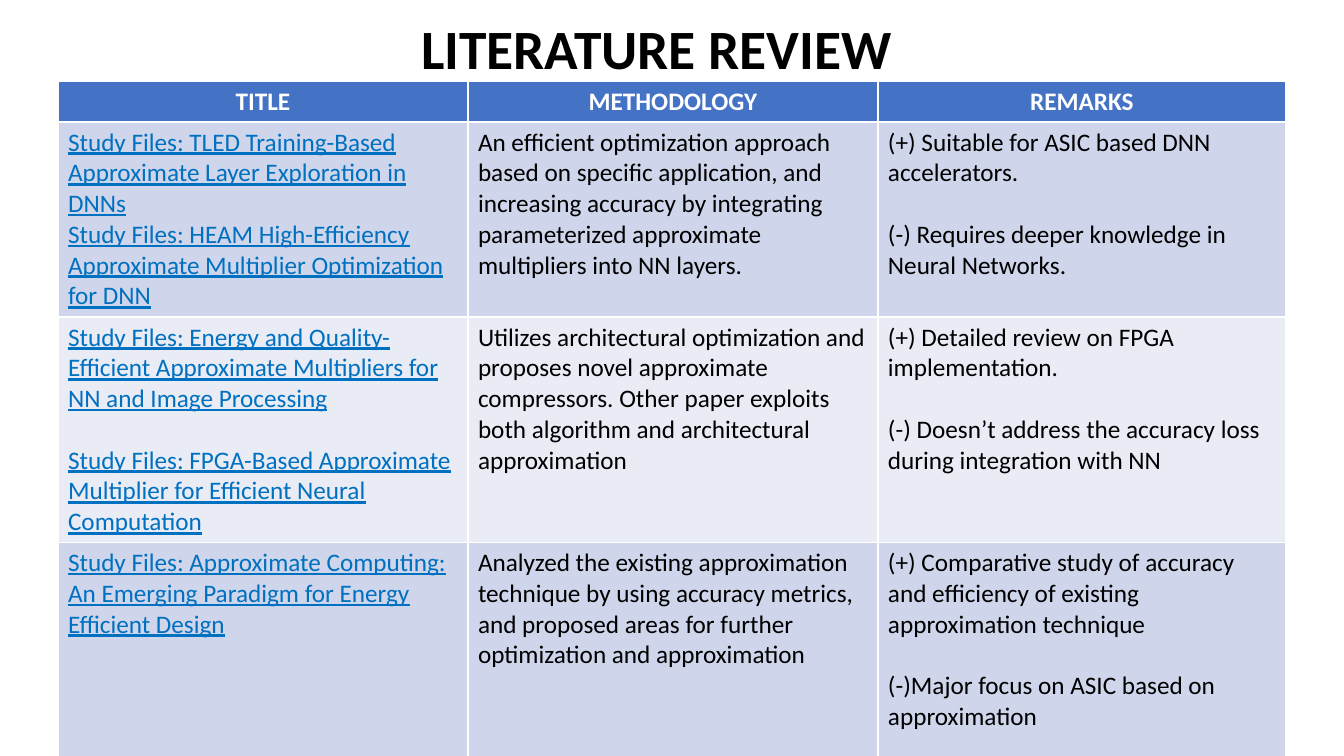
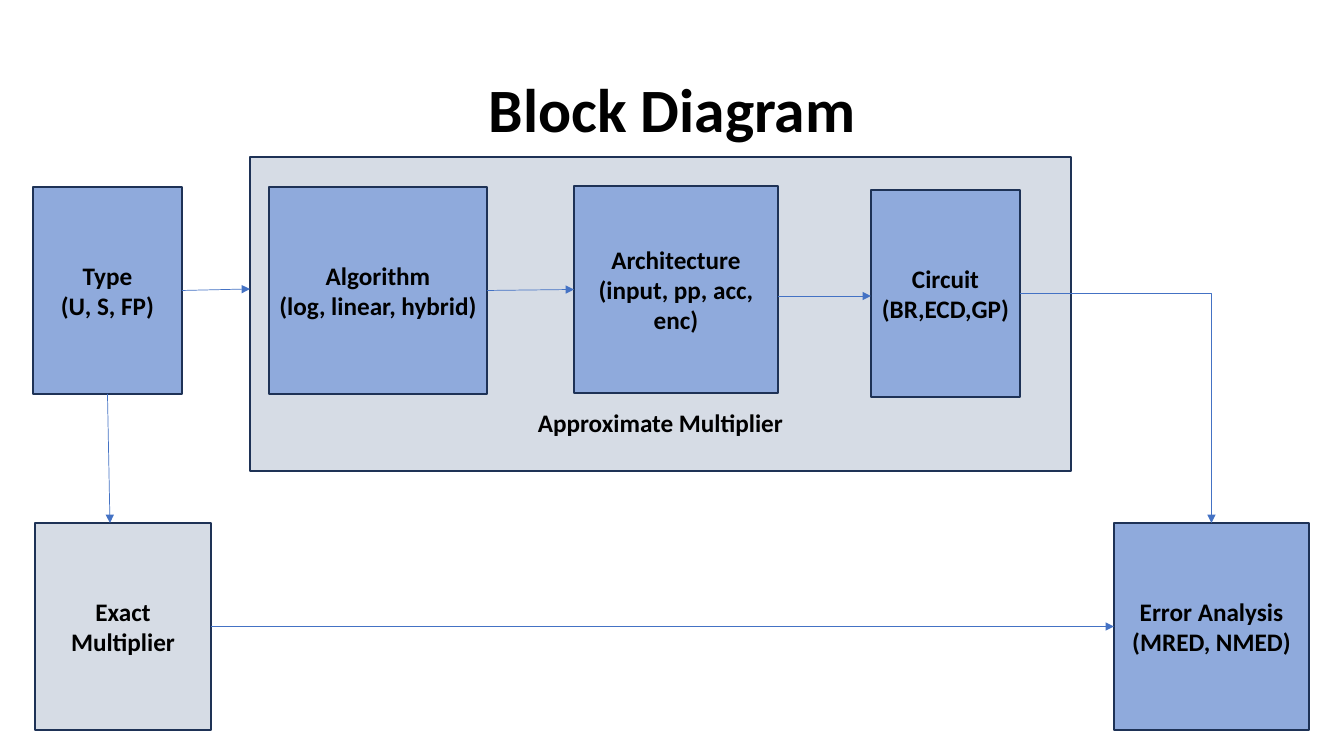
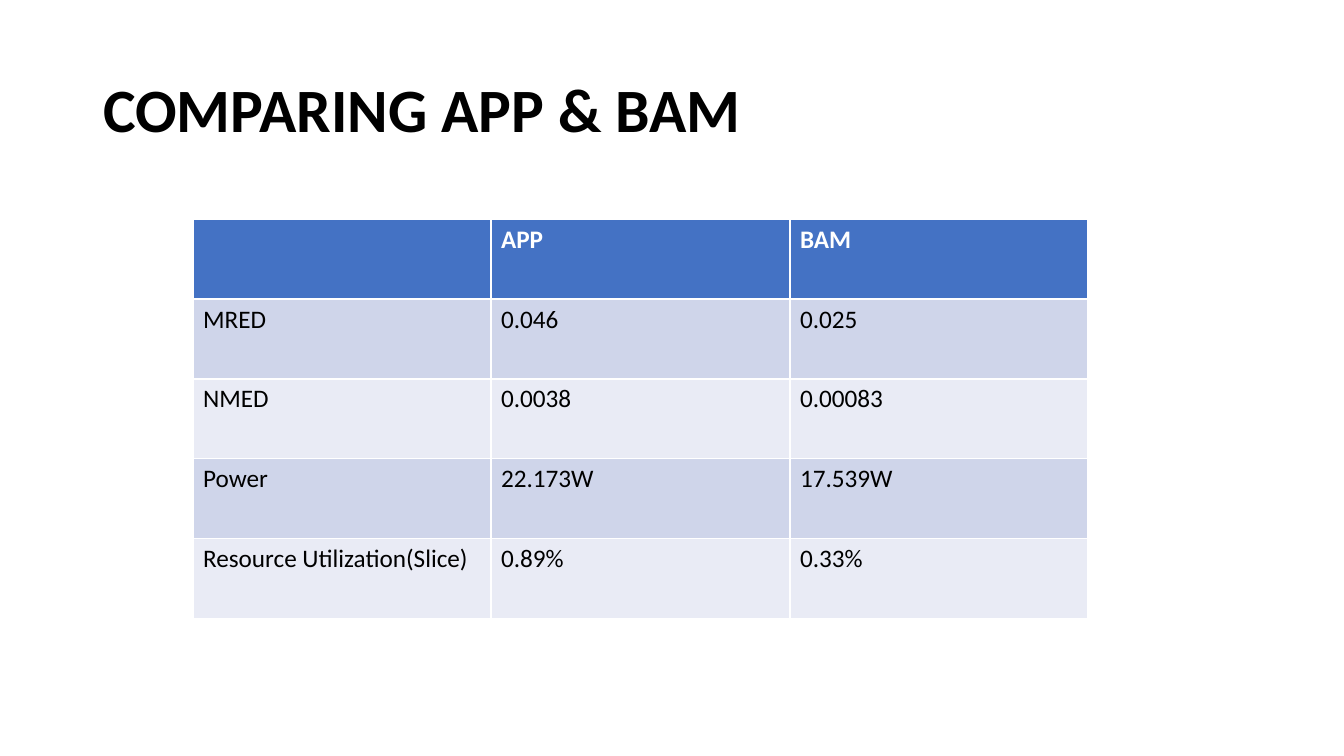
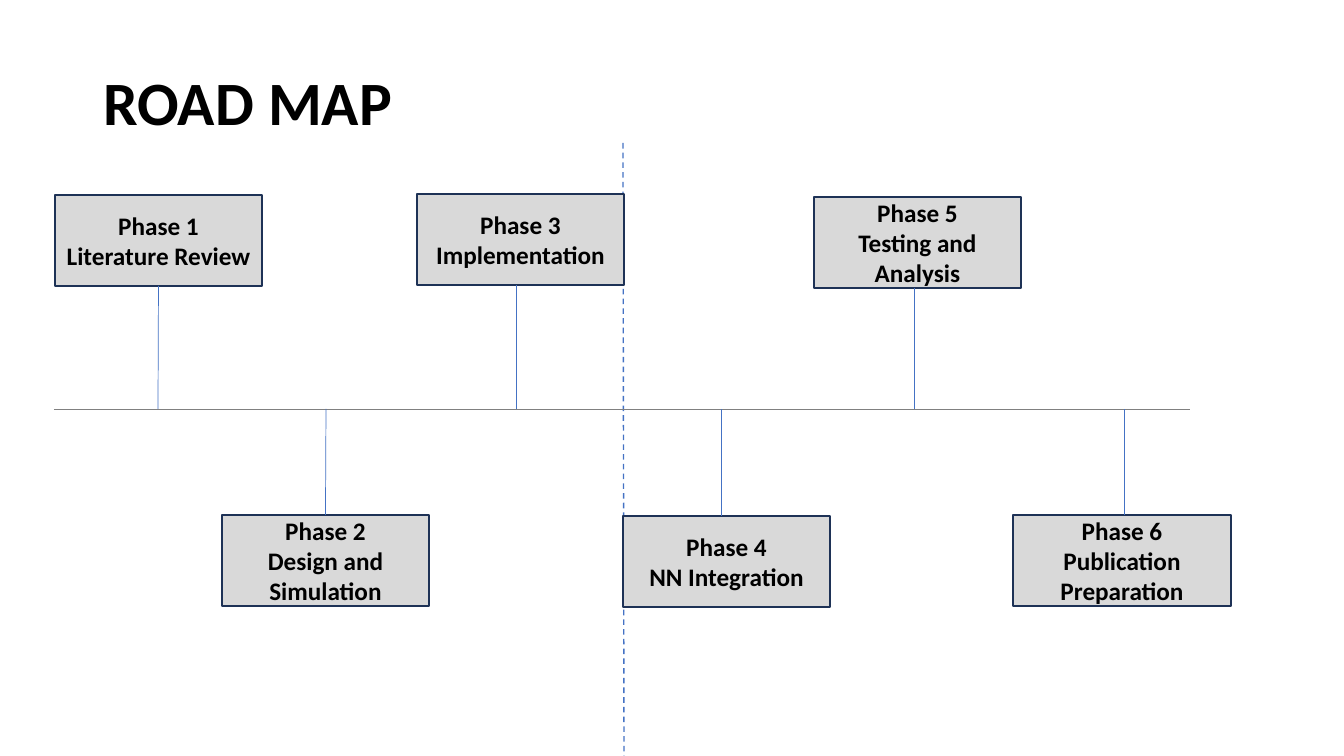
from dataclasses import dataclass

from lxml import etree
from pptx import Presentation
from pptx.dml.color import RGBColor
from pptx.enum.dml import MSO_LINE
from pptx.enum.shapes import MSO_CONNECTOR, MSO_SHAPE
from pptx.enum.text import MSO_ANCHOR, MSO_AUTO_SIZE, PP_ALIGN
from pptx.oxml.ns import qn
from pptx.util import Pt

PX = 9071  # EMU in one px
TOP, LEFT, BOTTOM, RIGHT = range(4)


@dataclass(frozen=True)
class Theme:
    font: str = "Calibri"
    title_size: float = 44
    tight_title_size: float = 39.6
    text_size: float = 18
    blank_line: float = 22
    black: RGBColor = RGBColor.from_string("000000")
    white: RGBColor = RGBColor.from_string("FFFFFF")
    link: RGBColor = RGBColor.from_string("0070C0")
    accent: RGBColor = RGBColor.from_string("4472C4")
    axis: RGBColor = RGBColor.from_string("808080")
    outline: RGBColor = RGBColor.from_string("1E3256")
    block: RGBColor = RGBColor.from_string("8FAADC")
    pale_block: RGBColor = RGBColor.from_string("D6DCE5")
    phase: RGBColor = RGBColor.from_string("D9D9D9")
    bands: tuple = (RGBColor.from_string("E9EBF5"), RGBColor.from_string("CFD5EA"))


theme = Theme()


def add_box(page, text, left, top, width, height, fill):
    box = page.shapes.add_shape(
        MSO_SHAPE.RECTANGLE, left * PX, top * PX, width * PX, height * PX)
    box.shadow.inherit = False
    box.fill.solid()
    box.fill.fore_color.rgb = fill
    box.line.color.rgb = theme.outline
    box.line.width = Pt(1)
    box.text_frame.text = text
    for para in box.text_frame.paragraphs:
        para.alignment = PP_ALIGN.CENTER
        para.font.name = theme.font
        para.font.size = Pt(theme.text_size)
        para.font.bold = True
        para.font.color.rgb = theme.black
    return box


def add_line(page, start, end, color=theme.accent, width=0.5, arrow=False,
             kind=MSO_CONNECTOR.STRAIGHT):
    """Draw a line; each end is an (x, y) point or a (box, side) joint."""
    points = [(0, 0) if hasattr(tip[0], "shape_id") else tip for tip in (start, end)]
    line = page.shapes.add_connector(kind, *(n * PX for point in points for n in point))
    for tip, join in ((start, line.begin_connect), (end, line.end_connect)):
        if hasattr(tip[0], "shape_id"):
            join(*tip)
    line.line.color.rgb = color
    line.line.width = Pt(width)
    properties = line._element.spPr
    if arrow:
        etree.SubElement(properties.find(qn("a:ln")), qn("a:tailEnd"), type="triangle")
    etree.SubElement(properties, qn("a:effectLst"))
    return line


deck = Presentation()
deck.slide_width, deck.slide_height = 1344 * PX, 756 * PX

# Titles: text, box, size, alignment
titles = [
    ("LITERATURE REVIEW", (93, 24, 1127, 56), theme.tight_title_size, PP_ALIGN.CENTER),
    ("Block Diagram", (93, 40, 1159, 146), theme.title_size, PP_ALIGN.CENTER),
    ("COMPARING APP & BAM", (93, 40, 1159, 146), theme.title_size, PP_ALIGN.LEFT),
    ("ROAD MAP", (93, 33, 1159, 146), theme.title_size, PP_ALIGN.LEFT),
]
pages = []
for text, place, size, alignment in titles:
    page = deck.slides.add_slide(deck.slide_layouts[5])
    title = page.shapes.title
    title.left, title.top, title.width, title.height = (n * PX for n in place)
    title.text_frame.text = text
    title.text_frame.auto_size = MSO_AUTO_SIZE.NONE
    title.text_frame.vertical_anchor = MSO_ANCHOR.MIDDLE
    para = title.text_frame.paragraphs[0]
    para.alignment = alignment
    para.line_spacing = 0.9
    para.font.name = theme.font
    para.font.size = Pt(size)
    para.font.bold = True
    para.font.color.rgb = theme.black
    pages.append(page)
review_page, diagram_page, comparison_page, roadmap_page = pages

# Tables
review_rows = [
    ("TITLE", "METHODOLOGY", "REMARKS"),
    ("Study Files: TLED Training-Based Approximate Layer Exploration in DNNs\n"
     "Study Files: HEAM High-Efficiency Approximate Multiplier Optimization for DNN",
     "An efficient optimization approach based on specific application, and increasing "
     "accuracy by integrating parameterized approximate multipliers into NN layers.",
     "(+) Suitable for ASIC based DNN accelerators.\n"
     "(-) Requires deeper knowledge in Neural Networks."),
    ("Study Files: Energy and Quality-Efficient Approximate Multipliers for NN and "
     "Image Processing\n"
     "Study Files: FPGA-Based Approximate Multiplier for Efficient Neural Computation",
     "Utilizes architectural optimization and proposes novel approximate compressors. "
     "Other paper exploits both algorithm and architectural approximation",
     "(+) Detailed review on FPGA implementation.\n"
     "(-) Doesn’t address the accuracy loss during integration with NN"),
    ("Study Files: Approximate Computing: An Emerging Paradigm for Energy Efficient Design",
     "Analyzed the existing approximation technique by using accuracy metrics, and "
     "proposed areas for further optimization and approximation",
     "(+) Comparative study of accuracy and efficiency of existing approximation technique\n"
     "(-)Major focus on ASIC based on approximation"),
]
comparison_rows = [
    ("", "APP", "BAM"),
    ("MRED", "0.046", "0.025"),
    ("NMED", "0.0038", "0.00083"),
    ("Power", "22.173W", "17.539W"),
    ("Resource Utilization(Slice)", "0.89%", "0.33%"),
]
tables = [
    (review_page, review_rows, (58, 81), (410, 410, 408), (41, 195, 225, 214)),
    (comparison_page, comparison_rows, (193, 219), (298, 299, 298), (80,) * 5),
]
tight_cell = (1, 0)
for page, rows, (left, top), widths, heights in tables:
    table = page.shapes.add_table(
        len(heights), len(widths), left * PX, top * PX,
        sum(widths) * PX, sum(heights) * PX).table
    for column, width in zip(table.columns, widths):
        column.width = width * PX
    for row_no, (texts, height) in enumerate(zip(rows, heights)):
        table.rows[row_no].height = height * PX
        is_header = row_no == 0
        for column_no, text in enumerate(texts):
            is_link = page is review_page and column_no == 0 and not is_header
            cell = table.cell(row_no, column_no)
            cell.fill.solid()
            cell.fill.fore_color.rgb = theme.accent if is_header else theme.bands[row_no % 2]
            cell.text_frame.text = text
            for para_no, para in enumerate(cell.text_frame.paragraphs):
                if is_header and page is review_page:
                    para.alignment = PP_ALIGN.CENTER
                if para_no and (row_no, column_no) != tight_cell:
                    para.space_before = Pt(theme.blank_line)
                para.font.name = theme.font
                para.font.size = Pt(theme.text_size)
                para.font.bold = is_header
                para.font.underline = is_link
                para.font.color.rgb = (
                    theme.white if is_header else theme.link if is_link else theme.black)

# Block diagram
multiplier = add_box(diagram_page, "Approximate Multiplier", 250, 157, 821, 314,
                     theme.pale_block)
multiplier.text_frame.vertical_anchor = MSO_ANCHOR.BOTTOM
multiplier.text_frame.margin_bottom = 33 * PX
blocks = [
    ("Type\n(U, S, FP)", 33, 187, 149, theme.block),
    ("Algorithm\n(log, linear, hybrid)", 269, 187, 218, theme.block),
    ("Architecture\n(input, pp, acc, enc)", 574, 186, 204, theme.block),
    ("Circuit\n(BR,ECD,GP)", 871, 190, 149, theme.block),
    ("Exact Multiplier", 35, 523, 176, theme.pale_block),
    ("Error Analysis\n(MRED, NMED)", 1114, 523, 195, theme.block),
]
number_type, algorithm, architecture, circuit, exact, error = [
    add_box(diagram_page, text, left, top, width, 207, fill)
    for text, left, top, width, fill in blocks]
arrows = [
    ((number_type, RIGHT), (250, 289)),
    ((algorithm, RIGHT), (architecture, LEFT)),
    ((778, 296), (871, 296)),
    ((number_type, BOTTOM), (110, 523)),
    ((exact, RIGHT), (error, LEFT)),
]
for start, end in arrows:
    add_line(diagram_page, start, end, arrow=True)
elbow = add_line(diagram_page, (circuit, RIGHT), (error, TOP), arrow=True,
                 kind=MSO_CONNECTOR.ELBOW)
elbow._element.spPr.find(qn("a:prstGeom")).set("prst", "bentConnector2")

# Road map
axis_y, phase_height = 409, 91
today = add_line(roadmap_page, (623, 143), (624, 756), width=1)
today.line.dash_style = MSO_LINE.DASH
add_line(roadmap_page, (54, axis_y), (1190, axis_y), color=theme.axis)
# Phases: text, left, top, width, x of the stem
phases = [
    ("Phase 1\nLiterature Review", 55, 195, 207, 158),
    ("Phase 2\nDesign and Simulation", 222, 515, 207, 326),
    ("Phase 3 Implementation", 417, 194, 207, 516),
    ("Phase 4\nNN Integration", 623, 516, 207, 721),
    ("Phase 5\nTesting and Analysis", 814, 197, 207, 914),
    ("Phase 6\nPublication Preparation", 1013, 515, 218, 1124),
]
for text, left, top, width, stem_x in phases:
    phase = add_box(roadmap_page, text, left, top, width, phase_height, theme.phase)
    side, edge_y = (BOTTOM, top + phase_height) if top < axis_y else (TOP, top)
    is_centred = abs(left + width / 2 - stem_x) <= 1
    start = (phase, side) if is_centred else (stem_x, edge_y)
    add_line(roadmap_page, start, (stem_x, axis_y))

deck.save("out.pptx")
